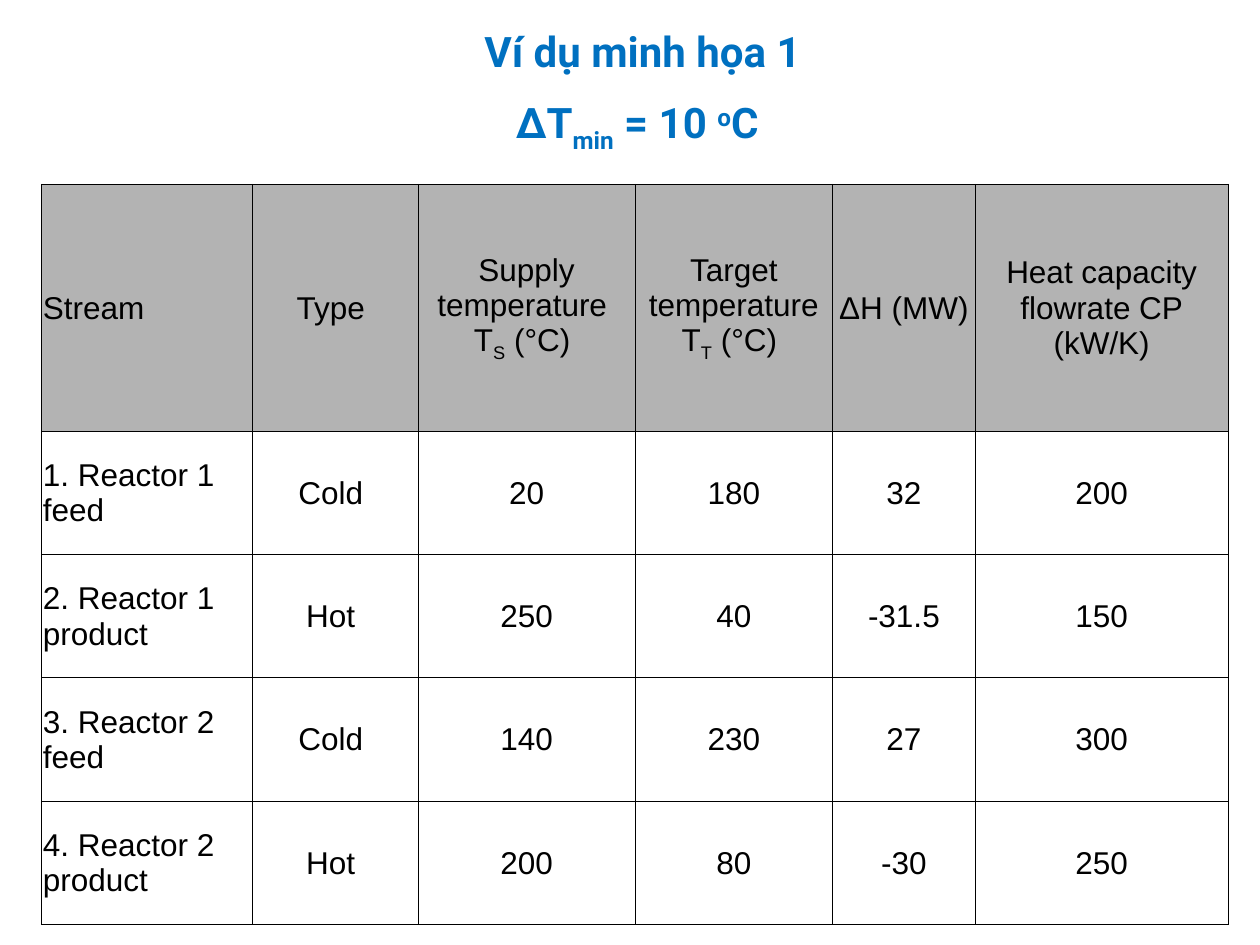
import dataclasses

import lxml.etree
import pptx
import pptx.dml.color
import pptx.enum.text
import pptx.oxml.ns
import pptx.util

ALIGN = pptx.enum.text.PP_ALIGN
ANCHOR = pptx.enum.text.MSO_ANCHOR
SUB, SUPER = -25, 30


@dataclasses.dataclass
class Theme:
    heading: str = "0070C0"
    ink: str = "000000"
    header_fill: str = "B3B3B3"
    heading_font: str = "Roboto"
    body_font: str = "Arial"
    heading_size: int = 24
    body_size: int = 18
    border: float = 0.5


def apply(target, values):
    for name, value in values.items():
        setattr(target, name, value)


class StreamSlide:
    def __init__(self, deck, theme):
        self.deck = deck
        self.theme = theme
        self.slide = deck.slides.add_slide(deck.slide_layouts[5])

    def place(self, left, top, width, height):
        across, down = self.deck.slide_width, self.deck.slide_height
        return [round(share * full) for share, full in
                zip((left, top, width, height), (across, down, across, down))]

    def add_lines(self, frame, lines, align, font, color, gap=0):
        for index, line in enumerate(lines):
            paragraph = frame.paragraphs[0] if index == 0 else frame.add_paragraph()
            apply(paragraph, {
                "alignment": align,
                "space_before": pptx.util.Pt(gap if index else 0),
            })
            for part in [line] if isinstance(line, str) else line:
                wording, baseline = (part, 0) if isinstance(part, str) else part
                for row, piece in enumerate(wording.split("\n")):
                    if row:
                        paragraph.add_line_break()
                    run = paragraph.add_run()
                    run.text = piece
                    apply(run.font, font)
                    run.font.color.rgb = pptx.dml.color.RGBColor.from_string(color)
                    if baseline:
                        run._r.get_or_add_rPr().set("baseline", str(baseline * 1000))

    def title(self, area, lines):
        heading = self.slide.shapes.title
        apply(heading, dict(zip(("left", "top", "width", "height"), self.place(*area))))
        apply(heading.text_frame, {
            "word_wrap": True,
            "auto_size": pptx.enum.text.MSO_AUTO_SIZE.NONE,
            "vertical_anchor": ANCHOR.TOP,
        })
        font = {"name": self.theme.heading_font, "bold": True,
                "size": pptx.util.Pt(self.theme.heading_size)}
        self.add_lines(heading.text_frame, lines, ALIGN.CENTER, font,
                       self.theme.heading, self.theme.heading_size / 2)

    def outline(self, cell):
        properties = cell._tc.get_or_add_tcPr()
        tag = pptx.oxml.ns.qn
        for side in ("a:lnL", "a:lnR", "a:lnT", "a:lnB"):
            edge = lxml.etree.SubElement(properties, tag(side),
                                         w=str(pptx.util.Pt(self.theme.border)))
            fill = lxml.etree.SubElement(edge, tag("a:solidFill"))
            lxml.etree.SubElement(fill, tag("a:srgbClr"), val=self.theme.ink)

    def table(self, area, column_weights, row_weights, records):
        left, top, width, height = self.place(*area)
        grid = self.slide.shapes.add_table(
            len(records), len(column_weights), left, top, width, height).table
        apply(grid, {"first_row": False, "horz_banding": False})
        for column, weight in zip(grid.columns, column_weights):
            column.width = round(width * weight / sum(column_weights))
        for row, weight in zip(grid.rows, row_weights):
            row.height = round(height * weight / sum(row_weights))
        inset = pptx.util.Inches(0.01)
        font = {"name": self.theme.body_font, "bold": False,
                "size": pptx.util.Pt(self.theme.body_size)}
        for r, record in enumerate(records):
            for c, lines in enumerate(record):
                cell = grid.cell(r, c)
                apply(cell, {
                    "margin_left": inset, "margin_right": inset,
                    "margin_top": inset, "margin_bottom": 0,
                    "vertical_anchor": ANCHOR.MIDDLE,
                })
                self.outline(cell)
                if r == 0:
                    cell.fill.solid()
                    cell.fill.fore_color.rgb = pptx.dml.color.RGBColor.from_string(
                        self.theme.header_fill)
                else:
                    cell.fill.background()
                self.add_lines(cell.text_frame,
                               [lines] if isinstance(lines, str) else lines,
                               ALIGN.CENTER if c else ALIGN.LEFT, font, self.theme.ink)


HEADINGS = [
    "Stream",
    "Type ",
    ["Supply temperature ", ["T", ("S", SUB), " (°C) "]],
    [["Target temperature T", ("T", SUB), " (°C) "]],
    "ΔH (MW)",
    "Heat capacity flowrate CP\n(kW/K)",
]
STREAMS = [
    ["1. Reactor 1 feed", "Cold ", "20", "180", "32", "200"],
    ["2. Reactor 1 product", "Hot ", "250", "40", "-31.5", "150"],
    ["3. Reactor 2 feed", "Cold ", "140", "230", "27", "300"],
    ["4. Reactor 2 product", "Hot ", "200", "80", "-30", "250"],
]


def main():
    deck = pptx.Presentation()
    apply(deck, {"slide_width": pptx.util.Inches(10),
                 "slide_height": pptx.util.Inches(7.5)})
    example = StreamSlide(deck, Theme())
    example.title((0.14, 0.02, 0.74, 0.15), [
        "Ví dụ minh họa 1",
        ["ΔT", ("min", SUB), " = 10 ", ("o", SUPER), "C "],
    ])
    example.table((0.033, 0.195, 0.942, 0.783),
                  [1.67, 1.32, 1.72, 1.57, 1.13, 2.01], [2, 1, 1, 1, 1],
                  [HEADINGS] + STREAMS)
    deck.save("out.pptx")


if __name__ == "__main__":
    main()
